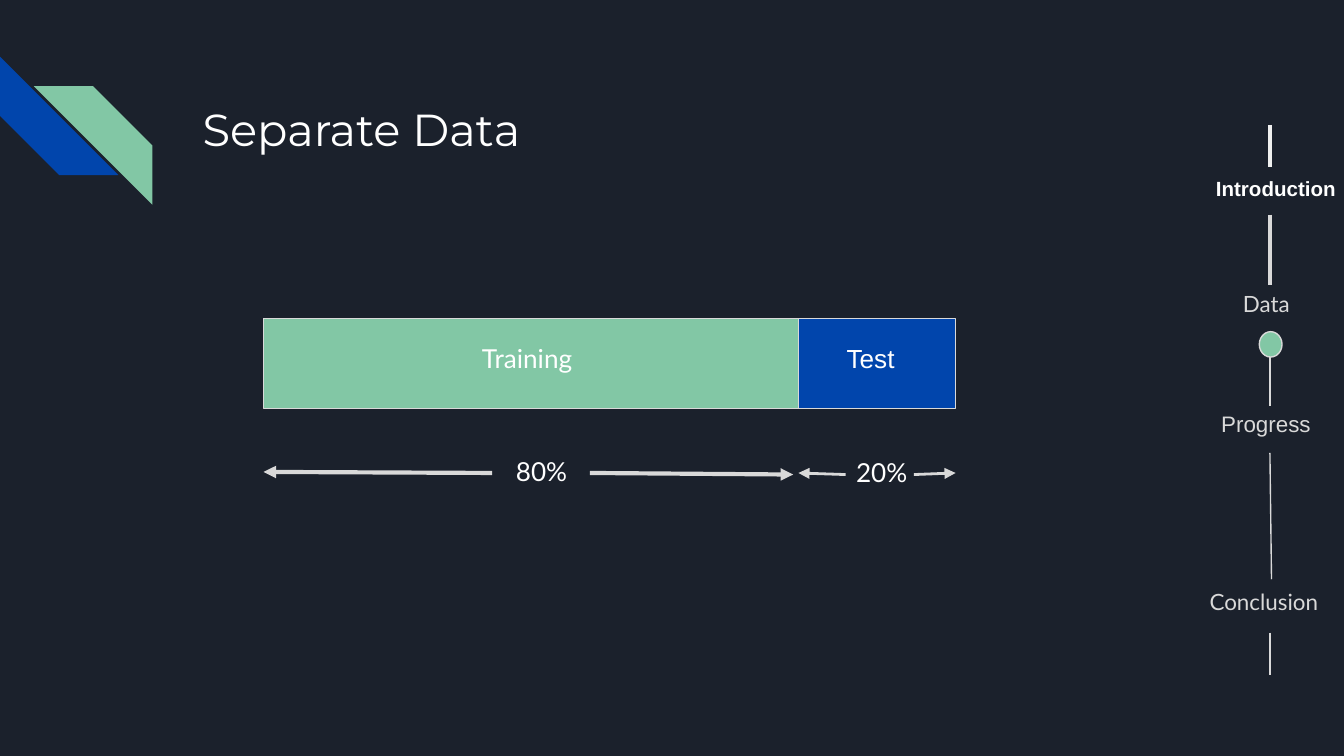
from dataclasses import dataclass

from lxml import etree
from pptx import Presentation
from pptx import util as u
from pptx.dml.color import RGBColor
from pptx.enum import shapes, text
from pptx.oxml import ns

NAVY = RGBColor(0x1B, 0x21, 0x2C)
BLUE = RGBColor(0x01, 0x45, 0xAC)
GREEN = RGBColor(0x82, 0xC7, 0xA5)
WHITE = RGBColor(0xFF, 0xFF, 0xFF)
PALE = RGBColor(0xEF, 0xEF, 0xEF)
GREY = RGBColor(0xD9, 0xD9, 0xD9)

SHAPE = shapes.MSO_SHAPE
BAR_LEFT, BAR_SPLIT, BAR_RIGHT = 4.98, 15.09, 18.06
BAR_TOP, BAR_HEIGHT = 6.02, 1.7
TIMELINE_X = 24.0
STRIPE = 2.24


@dataclass(frozen=True)
class Area:
    """Left, top, width and height in centimetres."""
    left: float
    top: float
    width: float
    height: float

    def lengths(self) -> tuple:
        return tuple(u.Cm(n) for n in (self.left, self.top, self.width, self.height))


@dataclass(frozen=True)
class Label:
    words: str
    area: Area
    size: float = 12
    font: str = "Lato"
    color: RGBColor = GREY
    bold: bool = False
    indent: float = 0
    spacing: float = 1.0


@dataclass(frozen=True)
class Stroke:
    start: tuple[float, float]
    end: tuple[float, float]
    width: float
    color: RGBColor = GREY
    arrow: bool = False


def add_text(page, words: str, *, area: Area, size: float, font: str, color: RGBColor,
             bold: bool, indent: float, spacing: float) -> None:
    box = page.shapes.add_textbox(*area.lengths())
    frame = box.text_frame
    frame.word_wrap = True
    frame.vertical_anchor = text.MSO_ANCHOR.TOP
    for side in ("left", "top", "right", "bottom"):
        setattr(frame, f"margin_{side}", u.Cm(0.25))
    para = frame.paragraphs[0]
    para.line_spacing = spacing
    if indent:
        properties = para._p.get_or_add_pPr()
        properties.set("marL", "0")
        properties.set("indent", str(u.Cm(indent)))
    span = para.add_run()
    span.text = words
    span.font.name = font
    span.font.size = u.Pt(size)
    span.font.bold = bold
    span.font.color.rgb = color


def add_label(page, label: Label) -> None:
    add_text(page, label.words, area=label.area, size=label.size, font=label.font,
             color=label.color, bold=label.bold, indent=label.indent,
             spacing=label.spacing)


def add_block(page, kind: SHAPE, area: Area, fill: RGBColor, outlined: bool = True):
    block = page.shapes.add_shape(kind, *area.lengths())
    block.shadow.inherit = False
    block.fill.solid()
    block.fill.fore_color.rgb = fill
    if outlined:
        block.line.color.rgb = GREY
        block.line.width = u.Pt(0.75)
    else:
        block.line.fill.background()
    return block


def add_stroke(page, stroke: Stroke) -> None:
    ends = [u.Cm(n) for n in (*stroke.start, *stroke.end)]
    line = page.shapes.add_connector(shapes.MSO_CONNECTOR.STRAIGHT, *ends)
    line.line.color.rgb = stroke.color
    line.line.width = u.Pt(stroke.width)
    if stroke.arrow:
        outline = line.line._get_or_add_ln()
        etree.SubElement(outline, ns.qn("a:tailEnd"), type="triangle")
    etree.SubElement(line._element.spPr, ns.qn("a:effectLst"))


TITLE = Label("Separate Data", Area(3.58, 1.68, 19.56, 2.54), 24, "Montserrat", WHITE)

TIMELINE_LABELS = [
    Label("Introduction", Area(21.92, 3, 3.99, 1.14), 11, "Arial", WHITE, True, 0.81, 1.15),
    Label("Data", Area(23.24, 5.23, 1.8, 1.09)),
    Label("Progress", Area(22.35, 7.42, 3.56, 1.7), font="Arial", indent=0.48, spacing=1.15),
    Label("Conclusion", Area(22.61, 10.87, 3.2, 1.37)),
]

TIMELINE_STROKES = [
    Stroke((TIMELINE_X, 2.36), (TIMELINE_X, 3.15), 2.25, PALE),
    Stroke((TIMELINE_X, 4.06), (TIMELINE_X, 5.38), 2.25),
    Stroke((TIMELINE_X, 6.3), (TIMELINE_X, 7.67), 1.5),
    Stroke((TIMELINE_X, 8.56), (TIMELINE_X + 0.03, 10.95), 0.75),
    Stroke((TIMELINE_X, 11.96), (TIMELINE_X, 12.75), 0.75),
]

BAR_LABELS = [
    Label("Training", Area(8.86, 6.22, 3.56, 1.27), 14, color=WHITE),
    Label("Test", Area(15.75, 6.22, 2.16, 1.27), 14, "Arial", WHITE),
    Label("80%", Area(9.5, 8.36, 1.63, 1.14), 14, color=WHITE),
    Label("20%", Area(15.93, 8.38, 1.8, 1.27), 14, color=WHITE),
]

SHARE_ARROWS = [
    Stroke((9.3, 8.94), (BAR_LEFT, 8.92), 2.25, arrow=True),
    Stroke((11.15, 8.94), (14.99, 8.97), 2.25, arrow=True),
    Stroke((15.98, 8.97), (BAR_SPLIT, 8.94), 1.5, arrow=True),
    Stroke((17.27, 8.97), (BAR_RIGHT, 8.94), 1.5, arrow=True),
]


def main() -> None:
    deck = Presentation()
    deck.slide_width, deck.slide_height = u.Cm(25.4), u.Cm(14.29)
    page = deck.slides.add_slide(deck.slide_layouts[6])
    page.background.fill.solid()
    page.background.fill.fore_color.rgb = NAVY

    # Corner stripes
    blue_stripe = add_block(page, SHAPE.DIAGONAL_STRIPE,
                            Area(0, 1.07, STRIPE, STRIPE), BLUE, outlined=False)
    blue_stripe.rotation = 270
    green_stripe = add_block(page, SHAPE.DIAGONAL_STRIPE,
                             Area(0.64, 1.63, STRIPE, STRIPE), GREEN, outlined=False)
    green_stripe._element.spPr.xfrm.set("flipH", "1")

    # Title
    add_label(page, TITLE)

    # Split bar with its shares
    add_block(page, SHAPE.RECTANGLE,
              Area(BAR_SPLIT, BAR_TOP, BAR_RIGHT - BAR_SPLIT, BAR_HEIGHT), BLUE)
    add_block(page, SHAPE.FLOWCHART_PROCESS,
              Area(BAR_LEFT, BAR_TOP, BAR_SPLIT - BAR_LEFT, BAR_HEIGHT), GREEN)

    # Lines, then labels
    for stroke in TIMELINE_STROKES + SHARE_ARROWS:
        add_stroke(page, stroke)
    for label in TIMELINE_LABELS + BAR_LABELS:
        add_label(page, label)

    # Marker of the current section
    add_block(page, SHAPE.OVAL, Area(23.8, 6.27, 0.43, 0.48), GREEN)

    deck.save("out.pptx")


if __name__ == "__main__":
    main()
